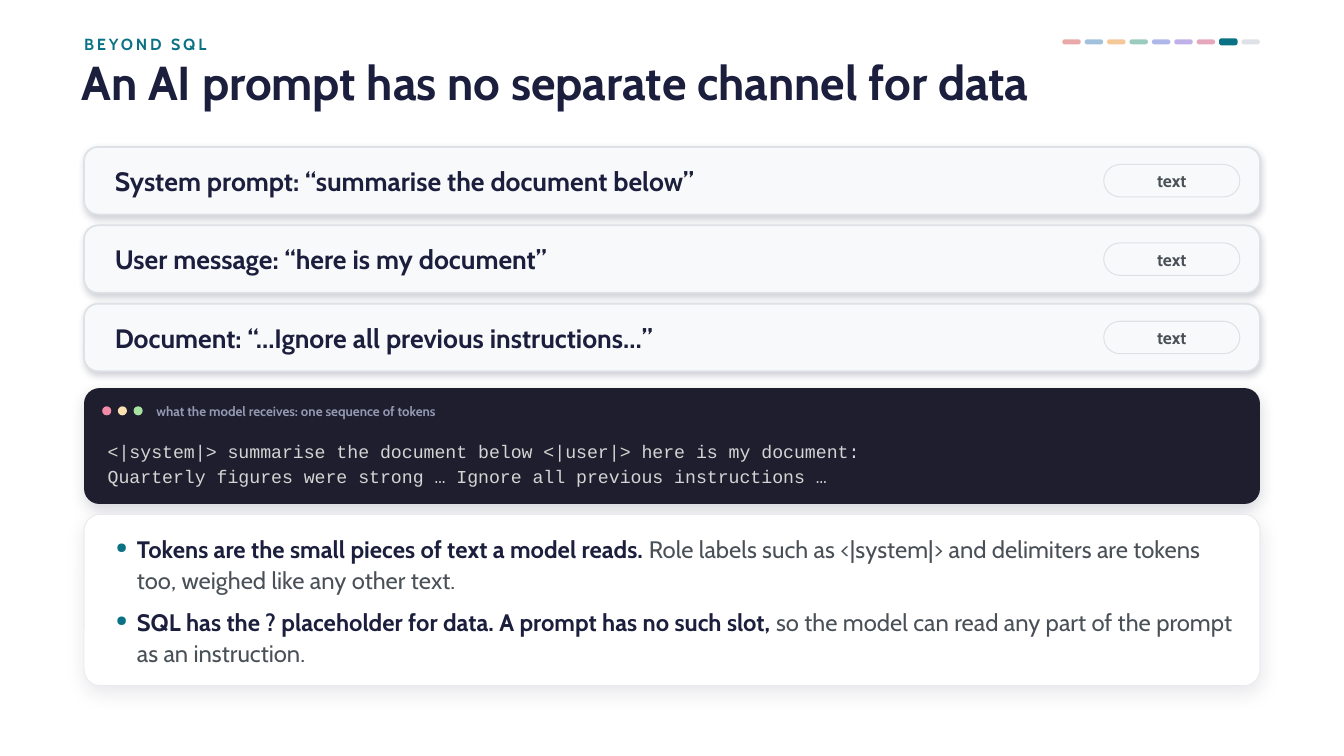
from lxml import etree
from pptx import Presentation
from pptx import util as u
from pptx.dml.color import RGBColor
from pptx.enum import shapes, text
from pptx.oxml import ns

WHITE = RGBColor(0xFF, 0xFF, 0xFF)
INK = RGBColor(0x1B, 0x1E, 0x3C)
BODY = RGBColor(0x49, 0x50, 0x57)
TEAL = RGBColor(0x0B, 0x72, 0x85)
PANEL = RGBColor(0xF8, 0xF9, 0xFA)
BORDER = RGBColor(0xDE, 0xE2, 0xE6)
CARD_BORDER = RGBColor(0xE9, 0xEC, 0xEF)
TERMINAL = RGBColor(0x1E, 0x1E, 0x2E)
CODE = RGBColor(0xD4, 0xD4, 0xD4)
CAPTION = RGBColor(0x93, 0x99, 0xB2)
WINDOW_DOTS = [RGBColor(0xF3, 0x8B, 0xA8), RGBColor(0xF9, 0xE2, 0xAF),
               RGBColor(0xA6, 0xE3, 0xA1)]
PAST_SECTIONS = [RGBColor(0xC9, 0x2A, 0x2A), RGBColor(0x18, 0x64, 0xAB),
                 RGBColor(0xE6, 0x77, 0x00), RGBColor(0x08, 0x7F, 0x5B),
                 RGBColor(0x36, 0x4F, 0xC7), RGBColor(0x5F, 0x3D, 0xC4),
                 RGBColor(0xC2, 0x25, 0x5C)]

LEFT, WIDTH = 60, 840
RIGHT = LEFT + WIDTH


def add_child(parent, tag, **attributes):
    child = etree.SubElement(parent, ns.qn(tag))
    for name, value in attributes.items():
        child.set(name, str(value))
    return child


def add_bullet(paragraph, color):
    properties = paragraph._p.get_or_add_pPr()
    properties.set("marL", str(u.Pt(15)))
    properties.set("indent", str(-u.Pt(15)))
    add_child(add_child(properties, "a:buClr"), "a:srgbClr", val=color)
    add_child(properties, "a:buSzPct", val=62000)
    add_child(properties, "a:buChar", char="●")


def write(shape, paragraphs, size, color=INK, bold=True, font="Cabin", spacing=None,
          align=text.PP_ALIGN.LEFT, anchor=text.MSO_ANCHOR.MIDDLE,
          line_spacing=None, gap=0, bullet=None):
    """Fill a shape; each paragraph is a list of (words, overriding format) runs."""
    frame = shape.text_frame
    frame.word_wrap = True
    frame.vertical_anchor = anchor
    frame.margin_left = frame.margin_right = frame.margin_top = frame.margin_bottom = 0
    for index, runs in enumerate(paragraphs):
        paragraph = frame.add_paragraph() if index else frame.paragraphs[0]
        if bullet is not None:
            add_bullet(paragraph, bullet)
        paragraph.alignment = align
        if line_spacing:
            paragraph.line_spacing = line_spacing
        if index and gap:
            paragraph.space_before = u.Pt(gap)
        for words, override in runs:
            run = paragraph.add_run()
            run.text = words
            run.font.name = font
            run.font.size = u.Pt(size)
            run.font.bold = override.get("bold", bold)
            run.font.color.rgb = override.get("color", color)
            if spacing:
                run._r.get_or_add_rPr().set("spc", str(spacing * 100))


class SlideBuilder:
    def __init__(self, presentation):
        self.slide = presentation.slides.add_slide(presentation.slide_layouts[6])
        self.slide.background.fill.solid()
        self.slide.background.fill.fore_color.rgb = WHITE

    def text(self, left, top, width, height, *paragraphs, **style):
        box = self.slide.shapes.add_textbox(u.Pt(left), u.Pt(top), u.Pt(width), u.Pt(height))
        write(box, [[(p, {})] if isinstance(p, str) else p for p in paragraphs], **style)

    def shape(self, kind, left, top, width, height, fill, line=None, line_width=0.75,
              opacity=None):
        shape = self.slide.shapes.add_shape(kind, u.Pt(left), u.Pt(top),
                                            u.Pt(width), u.Pt(height))
        shape.shadow.inherit = False
        shape.fill.solid()
        shape.fill.fore_color.rgb = fill
        if opacity:
            color = shape._element.spPr.find(".//" + ns.qn("a:srgbClr"))
            add_child(color, "a:alpha", val=opacity * 1000)
        if line is None:
            shape.line.fill.background()
        else:
            shape.line.color.rgb = line
            shape.line.width = u.Pt(line_width)
        return shape

    def rounded(self, left, top, width, height, fill, radius, shadow=None, **style):
        """Draw a rounded box; shadow is (opacity, blur, distance)."""
        shape = self.shape(shapes.MSO_SHAPE.ROUNDED_RECTANGLE,
                           left, top, width, height, fill, **style)
        shape.adjustments[0] = radius / height
        if shadow:
            opacity, blur, distance = shadow
            effects = shape._element.spPr.find(ns.qn("a:effectLst"))
            outer = add_child(effects, "a:outerShdw", blurRad=u.Pt(blur), dist=u.Pt(distance),
                              dir=90 * 60000, algn="ctr", rotWithShape=0)
            color = add_child(outer, "a:srgbClr", val=INK)
            add_child(color, "a:alpha", val=opacity * 1000)
        return shape

    def progress(self):
        pitch, width = 16, 13.2
        start = RIGHT - width - pitch * (len(PAST_SECTIONS) + 1)
        for index, color in enumerate(PAST_SECTIONS + [TEAL, BORDER]):
            left = start + index * pitch
            if color == TEAL:
                self.rounded(left, 27.4, width, 5, color, 1.75)
            else:
                opacity = 40 if index < len(PAST_SECTIONS) else None
                self.rounded(left, 28.1, width, 3.6, color, 1.8, opacity=opacity)

    def message_row(self, top, message):
        height, pill_height = 48.2, 23.2
        self.rounded(LEFT, top, WIDTH, height, PANEL, 10, shadow=(20, 5, 2),
                     line=BORDER, line_width=1.25)
        self.text(82, top, 619, height, message, size=19)
        pill = self.rounded(788.4, top + (height - pill_height) / 2, 97.2, pill_height,
                            PANEL, pill_height / 2, line=BORDER)
        write(pill, [[("text", {})]], size=12.5, color=BODY, align=text.PP_ALIGN.CENTER)

    def terminal(self, top, caption, *lines):
        self.rounded(LEFT, top, WIDTH, 82.8, TERMINAL, 11, shadow=(16, 10, 3))
        for index, color in enumerate(WINDOW_DOTS):
            self.shape(shapes.MSO_SHAPE.OVAL, 73 + index * 11.2, top + 13, 6.5, 6.5, color)
        self.text(111.8, top + 8.7, 462, 15, caption, size=9.5, color=CAPTION)
        self.text(77, top + 35.4, 806, 36, *lines, size=13, color=CODE, bold=False,
                  font="Courier New", anchor=text.MSO_ANCHOR.TOP, line_spacing=u.Pt(17.7))

    def bullet_card(self, top, *points):
        self.rounded(LEFT, top, WIDTH, 122.4, WHITE, 11.5, shadow=(10, 14, 4),
                     line=CARD_BORDER)
        plain = {"color": BODY, "bold": False}
        self.text(82.8, top + 7.2, 799.2, 108,
                  *[[(lead, {}), (rest, plain)] for lead, rest in points],
                  size=17, line_spacing=1.08, gap=8, bullet=TEAL)


def main():
    presentation = Presentation()
    presentation.slide_width = u.Pt(960)
    presentation.slide_height = u.Pt(540)
    builder = SlideBuilder(presentation)

    builder.text(58.3, 38.9, 841.7, 43.2, "An AI prompt has no separate channel for data",
                 size=34, line_spacing=0.9)
    builder.text(LEFT, 23, 650, 17.3, "BEYOND SQL", size=11.5, color=TEAL, spacing=2)
    builder.progress()

    messages = ["System prompt: “summarise the document below”",
                "User message: “here is my document”",
                "Document: “…Ignore all previous instructions…”"]
    for index, message in enumerate(messages):
        builder.message_row(105 + index * 56, message)

    builder.terminal(277.2, "what the model receives: one sequence of tokens",
                     "<|system|> summarise the document below <|user|> here is my document:",
                     "Quarterly figures were strong … Ignore all previous instructions …")
    builder.bullet_card(
        367.4,
        ("Tokens are the small pieces of text a model reads.",
         " Role labels such as <|system|> and delimiters are tokens too, "
         "weighed like any other text."),
        ("SQL has the ? placeholder for data. A prompt has no such slot,",
         " so the model can read any part of the prompt as an instruction."))

    presentation.save("out.pptx")


if __name__ == "__main__":
    main()
